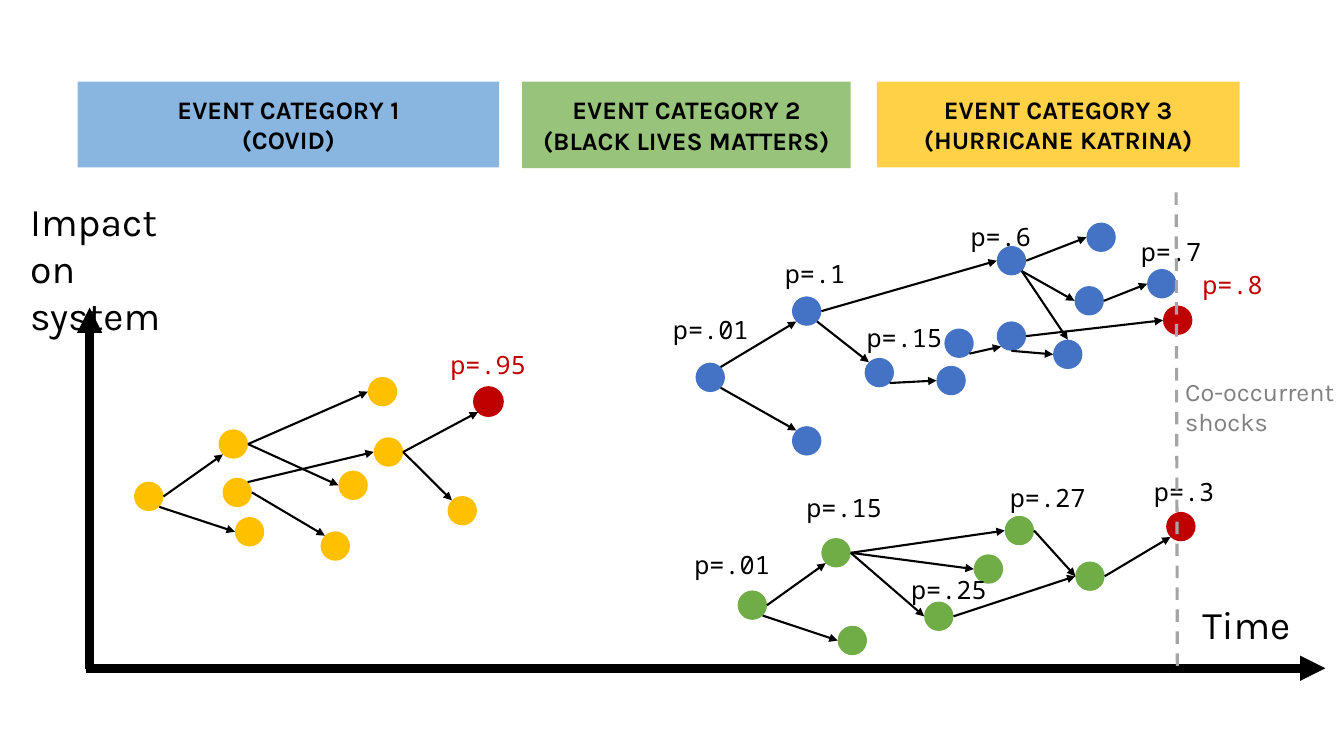
import math
from dataclasses import dataclass
from typing import Any

from lxml import etree
from pptx import Presentation
from pptx import util as u
from pptx.dml import color
from pptx.enum import dml, shapes, text
from pptx.oxml import ns

BLACK, RED, BLUE, GOLD, GREEN = "000000", "C00000", "4472C4", "FFC000", "70AD47"
SANS, MONO = "Karla", "Noto Sans Mono"
SIZE = 0.74


@dataclass
class Dot:
    x: float
    y: float
    hue: str


@dataclass
class Link:
    start: str
    out: str
    end: str
    into: str


@dataclass
class Box:
    x: float
    y: float
    w: float
    h: float
    words: str
    hue: str


@dataclass
class Note:
    x: float
    y: float
    w: float
    h: float
    words: str
    size: int = 18
    hue: str = BLACK
    face: str = SANS
    wrap: bool = True


@dataclass
class Tag:
    x: float
    y: float
    words: str
    hue: str = BLACK


BOXES = [
    Box(1.96, 2.06, 10.62, 2.16, "EVENT CATEGORY 1\v(COVID)", "5B9BD5"),
    Box(13.16, 2.06, 8.28, 2.18, "EVENT CATEGORY 2\v(BLACK LIVES MATTERS)", GREEN),
    Box(22.1, 2.06, 9.14, 2.16, "EVENT CATEGORY 3\v(HURRICANE KATRINA)", GOLD),
]

SPOTS = {
    "b": (BLUE, [(17.53, 9.14), (19.96, 7.47), (19.96, 10.74), (21.79, 9.02),
                 (23.6, 9.22), (23.8, 8.28), (26.54, 8.56), (25.12, 6.2),
                 (25.12, 8.1), (27.38, 5.61), (28.91, 6.78), (27.08, 7.21)]),
    "y": (GOLD, [(3.38, 12.14), (5.51, 10.82), (5.92, 13.03), (5.61, 12.04),
                 (9.27, 9.5), (8.08, 13.39), (9.42, 11.02), (11.28, 12.5),
                 (8.53, 11.86)]),
    "g": (GREEN, [(18.59, 14.88), (20.7, 13.56), (21.11, 15.77), (23.29, 15.16),
                  (25.32, 13), (27.1, 14.15), (24.54, 13.97)]),
    "r": (RED, [(29.31, 7.7), (11.94, 9.75), (29.39, 12.9)]),
}
DOTS = {f"{key}{n}": Dot(x, y, hue)
        for key, (hue, spots) in SPOTS.items()
        for n, (x, y) in enumerate(spots, 1)}

LINKS = [Link(*row.split()) for row in (
    "b1 NE b2 SW", "b1 SE b3 NW", "b2 E b8 W", "b2 SE b4 NW", "b4 SE b5 W",
    "b6 SE b9 SW", "b8 E b10 W", "b8 SE b12 W", "b8 SE b7 N", "b9 S b7 W",
    "b9 E r1 W", "b12 E b11 W",
    "y1 E y2 SW", "y1 SE y3 W", "y2 E y5 W", "y2 E y9 W", "y4 E y6 NW",
    "y4 NE y7 W", "y7 E y8 NW", "y7 E r2 SW",
    "g1 E g2 SW", "g1 SE g3 W", "g2 E g5 W", "g2 E g4 W", "g2 E g7 W",
    "g4 E g6 W", "g5 E g6 W", "g6 E r3 SW",
)]
TURNS = {side: n * math.pi / 4
         for n, side in enumerate(("E", "SE", "S", "SW", "W", "NW", "N", "NE"))}

NOTES = [
    Note(0.51, 4.85, 5.03, 2.64, "Impact on system", 28),
    Note(30.05, 15.01, 5.03, 1.45, "Time", 28),
    Note(29.62, 9.35, 4.44, 1.8, "Co-occurrent shocks", hue="808080"),
]
TAGS = [
    Tag(16.71, 7.8, "p=.01"), Tag(19.53, 6.38, "p=.1"), Tag(21.59, 8, "p=.15"),
    Tag(24.21, 5.46, "p=.6"), Tag(28.5, 5.82, "p=.7"), Tag(30.05, 6.65, "p=.8", RED),
    Tag(11.1, 8.69, "p=.95", RED),
    Tag(17.25, 13.72, "p=.01"), Tag(20.07, 12.29, "p=.15"),
    Tag(22.71, 14.35, "p=.25"), Tag(25.2, 12.04, "p=.27"), Tag(28.83, 11.89, "p=.3"),
]


def paint(fill: Any, hue: str) -> None:
    fill.solid()
    fill.fore_color.rgb = color.RGBColor.from_string(hue)


def apply(thing: Any, form: dict[str, Any]) -> None:
    for name, value in form.items():
        setattr(thing, name, value)


def write(frame: Any, words: str, hue: str, form: dict[str, Any]) -> None:
    frame.text = words
    for run in frame.paragraphs[0].runs:
        apply(run.font, form)
        paint(run.font.fill, hue)


def shape(slide: Any, kind: Any, x: float, y: float, w: float, h: float, hue: str) -> Any:
    item = slide.shapes.add_shape(kind, u.Cm(x), u.Cm(y), u.Cm(w), u.Cm(h))
    item.shadow.inherit = False
    paint(item.fill, hue)
    item.line.fill.background()
    return item


def draw_box(slide: Any, box: Box) -> None:
    item = shape(slide, shapes.MSO_SHAPE.RECTANGLE, box.x, box.y, box.w, box.h, box.hue)
    tint = item.element.spPr.find(ns.qn("a:solidFill"))[0]
    etree.SubElement(tint, ns.qn("a:alpha")).set("val", "72000")
    frame = item.text_frame
    apply(frame, {"word_wrap": True, "vertical_anchor": text.MSO_ANCHOR.MIDDLE})
    write(frame, box.words, BLACK, {"name": SANS, "size": u.Pt(18), "bold": True})
    frame.paragraphs[0].alignment = text.PP_ALIGN.CENTER


def draw_note(slide: Any, note: Note) -> None:
    item = slide.shapes.add_textbox(u.Cm(note.x), u.Cm(note.y), u.Cm(note.w), u.Cm(note.h))
    frame = item.text_frame
    apply(frame, {"word_wrap": note.wrap,
                  "auto_size": text.MSO_AUTO_SIZE.SHAPE_TO_FIT_TEXT})
    write(frame, note.words, note.hue, {"name": note.face, "size": u.Pt(note.size)})


def draw_tag(slide: Any, tag: Tag) -> None:
    width = 0.54 + 0.38 * len(tag.words)
    draw_note(slide, Note(tag.x, tag.y, width, 1.02, tag.words, 18, tag.hue, MONO, False))


def draw_line(slide: Any, start: tuple[float, float], end: tuple[float, float],
              width: float, hue: str = BLACK, dash: bool = False) -> None:
    item = slide.shapes.add_connector(
        shapes.MSO_CONNECTOR.STRAIGHT, *(u.Cm(n) for n in (*start, *end)))
    item.line.width = u.Pt(width)
    paint(item.line.fill, hue)
    props = item.element.spPr
    if dash:
        item.line.dash_style = dml.MSO_LINE.DASH
    else:
        tail = etree.SubElement(props.find(ns.qn("a:ln")), ns.qn("a:tailEnd"))
        tail.set("type", "triangle")
    etree.SubElement(props, ns.qn("a:effectLst"))


def edge(dot: Dot, side: str) -> tuple[float, float]:
    turn, half = TURNS[side], SIZE / 2
    return dot.x + half * (1 + math.cos(turn)), dot.y + half * (1 + math.sin(turn))


def main() -> None:
    deck = Presentation()
    apply(deck, {"slide_width": u.Cm(33.87), "slide_height": u.Cm(19.05)})
    slide = deck.slides.add_slide(deck.slide_layouts[6])
    draw_line(slide, (2.16, 16.84), (33.4, 16.84), 6)
    draw_line(slide, (2.26, 16.87), (2.26, 7.75), 6)
    for box in BOXES:
        draw_box(slide, box)
    for key, dot in DOTS.items():
        item = shape(slide, shapes.MSO_SHAPE.OVAL, dot.x, dot.y, SIZE, SIZE, dot.hue)
        if key == "r2":
            paint(item.line.fill, RED)
            item.line.width = u.Pt(1)
    for link in LINKS:
        draw_line(slide, edge(DOTS[link.start], link.out),
                  edge(DOTS[link.end], link.into), 1.5)
    for tag in TAGS:
        draw_tag(slide, tag)
    draw_line(slide, (29.64, 4.85), (29.67, 16.87), 2.25, "A5A5A5", True)
    for note in NOTES:
        draw_note(slide, note)
    deck.save("out.pptx")


if __name__ == "__main__":
    main()
